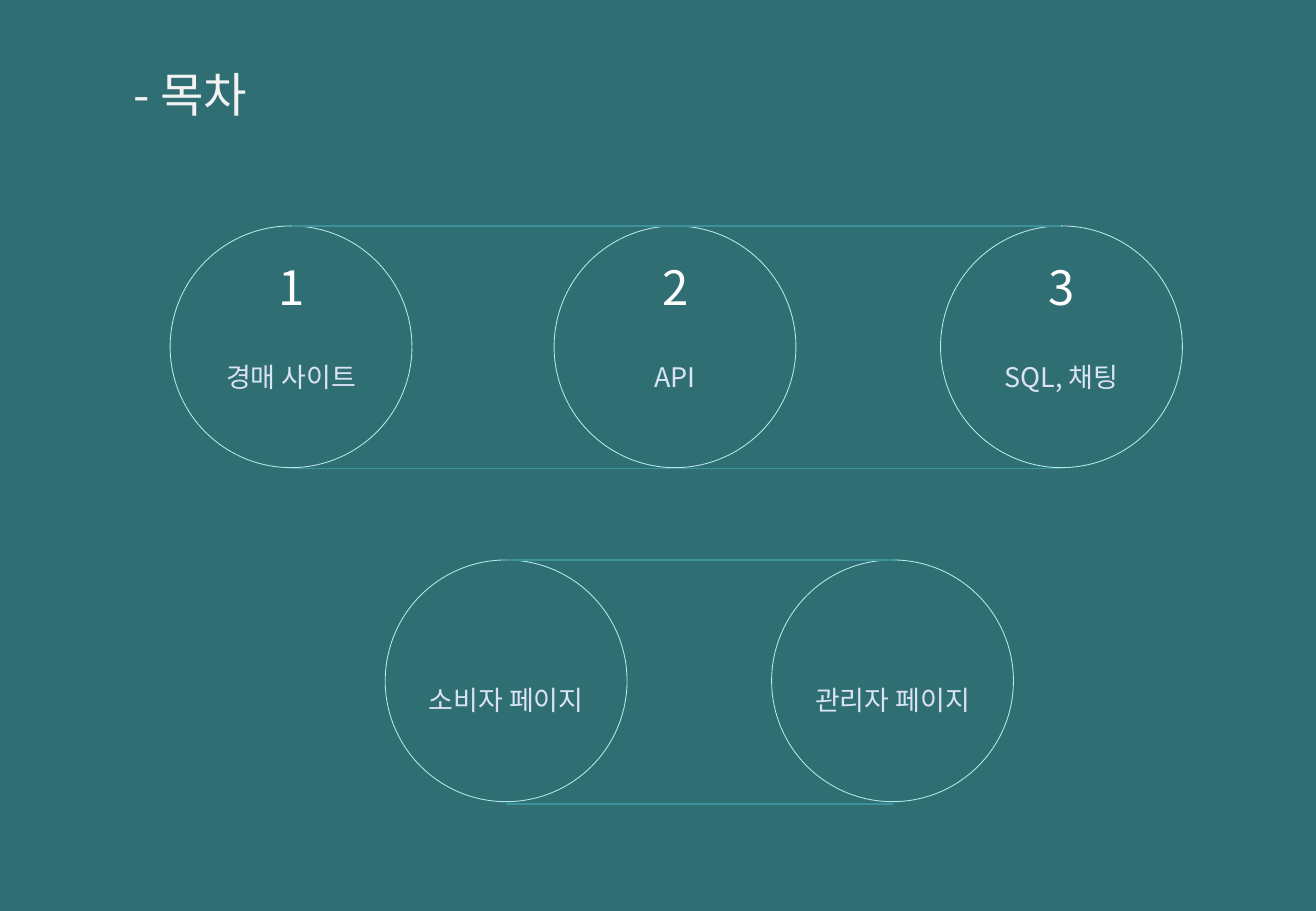
from lxml import etree
from pptx import Presentation
from pptx.dml.color import RGBColor
from pptx.enum import shapes, text
from pptx.oxml import ns
from pptx.util import Inches, Pt

FONT = "Noto Sans CJK KR"
DIAMETER = 1.99


def color(value):
    return RGBColor.from_string(value)


def add_text(page, content, left, top, width, height, size=16, ink="DAE3F3",
             wrap=True, anchor=text.MSO_ANCHOR.MIDDLE):
    box = page.shapes.add_textbox(Inches(left), Inches(top), Inches(width), Inches(height))
    frame = box.text_frame
    frame.word_wrap = wrap
    frame.vertical_anchor = anchor
    para = frame.paragraphs[0]
    para.alignment = text.PP_ALIGN.CENTER
    span = para.add_run()
    span.text = content
    span.font.name = FONT
    span.font.size = Pt(size)
    span.font.color.rgb = color(ink)
    east_asian = etree.SubElement(span.font._element, ns.qn("a:ea"))
    east_asian.set("typeface", FONT)


def add_heading(page, content, left, top, width, ink="FFFFFF"):
    add_text(page, content, left, top, width, 0.57, size=28, ink=ink,
             wrap=False, anchor=text.MSO_ANCHOR.TOP)


def add_rail(page, start, end, top):
    rail = page.shapes.add_connector(shapes.MSO_CONNECTOR.STRAIGHT, Inches(start),
                                     Inches(top), Inches(end), Inches(top))
    rail.line.color.rgb = color("3B9399")
    rail.line.width = Pt(0.75)
    etree.SubElement(rail._element.spPr, ns.qn("a:effectLst"))


def add_topic(page, left, top, label, label_drop, number=None):
    circle = page.shapes.add_shape(shapes.MSO_SHAPE.OVAL, Inches(left), Inches(top),
                                   Inches(DIAMETER), Inches(DIAMETER))
    circle.shadow.inherit = False
    circle.fill.background()
    circle.line.color.rgb = color("B5E8EA")
    circle.line.width = Pt(0.5)
    if number:
        add_heading(page, number, left + 0.78, top + 0.22, 0.44)
    add_text(page, label, left - 0.16, top + label_drop, 2.31, 0.8)


def add_topic_row(page, lefts, top, rail_tops, topics, label_drop):
    for left, (number, label) in zip(lefts, topics):
        add_topic(page, left, top, label, label_drop, number)
    for rail_top in rail_tops:
        add_rail(page, lefts[0] + DIAMETER / 2, lefts[-1] + DIAMETER / 2, rail_top)


def build_contents(deck):
    page = deck.slides.add_slide(deck.slide_layouts[6])
    page.background.fill.solid()
    page.background.fill.fore_color.rgb = color("2F6F74")
    add_heading(page, "- 목차", 0.92, 0.49, 1.29, ink="F2F2F2")
    add_topic_row(page, (1.4, 4.56, 7.74), 1.86, (1.86, 3.86),
                  (("1", "경매 사이트"), ("2", "API"), ("3", "SQL, 채팅")), 0.84)
    add_topic_row(page, (3.17, 6.35), 4.61, (4.61, 6.62),
                  ((None, "소비자 페이지"), (None, "관리자 페이지")), 0.75)


deck = Presentation()
deck.slide_width = Inches(10.83)
deck.slide_height = Inches(7.5)
build_contents(deck)
deck.save("out.pptx")
